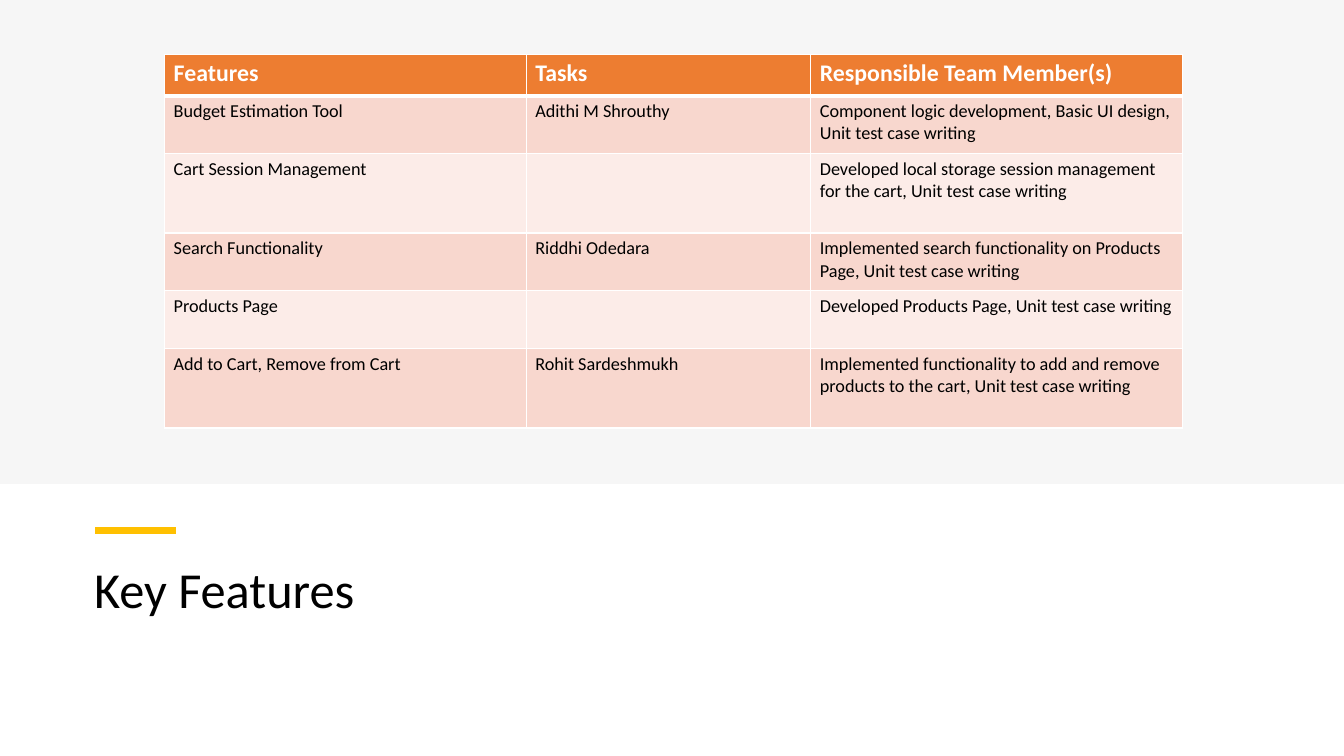
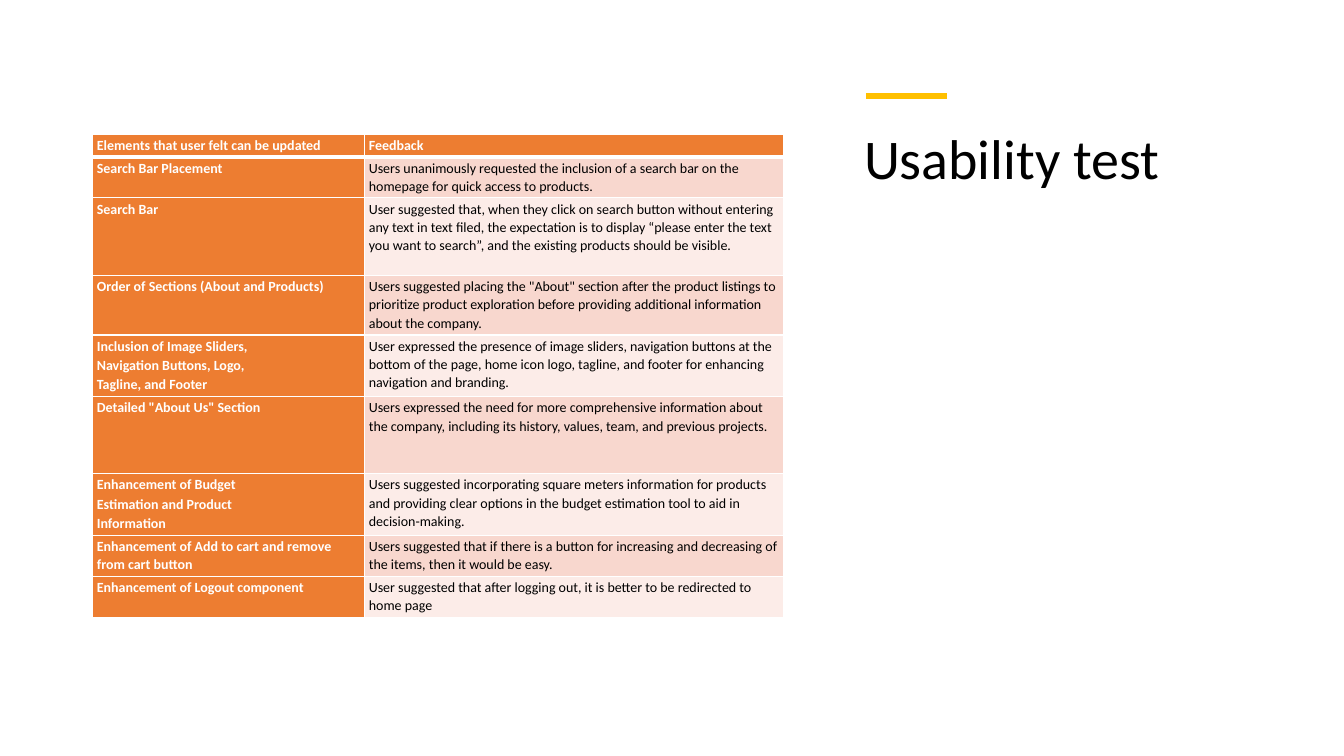
from lxml.etree import SubElement
from pptx import Presentation
from pptx.dml.color import RGBColor
from pptx.enum.shapes import MSO_CONNECTOR, MSO_SHAPE
from pptx.enum.text import MSO_ANCHOR, MSO_AUTO_SIZE, PP_ALIGN
from pptx.oxml.ns import qn
from pptx.util import Pt

FONT = "Calibri"
COLORS = {
    "text": "000000",
    "white": "FFFFFF",
    "panel": "F2F2F2",
    "accent": "FFC000",
    "header": "ED7D31",
    "band_dark": "F8D7CE",
    "band_light": "FCECE8",
}
ACCENT_LENGTH = 57.6
TITLE_ONLY = 5

FEATURES = [
    ("Features", "Tasks", "Responsible Team Member(s)"),
    ("Budget Estimation Tool", "Adithi M Shrouthy",
     "Component logic development, Basic UI design, Unit test case writing"),
    ("Cart Session Management", "",
     "Developed local storage session management for the cart, Unit test case writing"),
    ("Search Functionality", "Riddhi Odedara",
     "Implemented search functionality on Products Page, Unit test case writing"),
    ("Products Page", "", "Developed Products Page, Unit test case writing"),
    ("Add to Cart, Remove from Cart", "Rohit Sardeshmukh",
     "Implemented functionality to add and remove products to the cart, "
     "Unit test case writing"),
]

FEEDBACK = [
    ("Elements that user felt can be updated", "Feedback"),
    ("Search Bar Placement",
     "Users unanimously requested the inclusion of a search bar on the homepage "
     "for quick access to products."),
    ("Search Bar",
     "User suggested that, when they click on search button without entering any text "
     "in text filed, the expectation is to display “please enter the text you want to "
     "search”, and the existing products should be visible."),
    ("Order of Sections (About and Products)",
     'Users suggested placing the "About" section after the product listings to '
     "prioritize product exploration before providing additional information about "
     "the company."),
    ("Inclusion of Image Sliders,\nNavigation Buttons, Logo,\nTagline, and Footer",
     "User expressed the presence of image sliders, navigation buttons at the bottom of "
     "the page, home icon logo, tagline, and footer for enhancing navigation and branding."),
    ('Detailed "About Us" Section',
     "Users expressed the need for more comprehensive information about the company, "
     "including its history, values, team, and previous projects."),
    ("Enhancement of Budget\nEstimation and Product\nInformation",
     "Users suggested incorporating square meters information for products and providing "
     "clear options in the budget estimation tool to aid in decision-making."),
    ("Enhancement of Add to cart and remove from cart button",
     "Users suggested that if there is a button for increasing and decreasing of the "
     "items, then it would be easy."),
    ("Enhancement of Logout component",
     "User suggested that after logging out, it is better to be redirected to home page"),
]


def rgb(name):
    return RGBColor.from_string(COLORS[name])


def style_paragraph(paragraph, size, color, bold=False, spacing=1.0, after=0):
    paragraph.alignment = PP_ALIGN.LEFT
    paragraph.line_spacing = spacing
    paragraph.space_after = Pt(after)
    for run in paragraph.runs:
        run.font.name = FONT
        run.font.size = Pt(size)
        run.font.bold = bold
        run.font.color.rgb = rgb(color)


def set_title(slide, text, box, size, anchor):
    title = slide.shapes.title
    title.left, title.top, title.width, title.height = map(Pt, box)
    frame = title.text_frame
    frame.text = text
    frame.word_wrap = True
    frame.auto_size = MSO_AUTO_SIZE.NONE
    frame.vertical_anchor = anchor
    style_paragraph(frame.paragraphs[0], size, "text", spacing=0.9, after=6)


def add_accent(slide, left, top):
    accent = slide.shapes.add_connector(
        MSO_CONNECTOR.STRAIGHT, Pt(left), Pt(top), Pt(left + ACCENT_LENGTH), Pt(top))
    accent.line.color.rgb = rgb("accent")
    accent.line.width = Pt(4.5)
    SubElement(accent._element.spPr, qn("a:effectLst"))


def add_panel(slide, width, height):
    panel = slide.shapes.add_shape(MSO_SHAPE.RECTANGLE, 0, 0, width, height)
    panel.shadow.inherit = False
    panel.line.fill.background()
    panel.fill.solid()
    panel.fill.fore_color.rgb = rgb("panel")
    color = panel._element.spPr.find(qn("a:solidFill"))[0]
    SubElement(color, qn("a:alpha"), val="65000")


def set_borders(cell, top=1, bottom=1):
    properties = cell._tc.get_or_add_tcPr()
    for side, width in (("L", 1), ("R", 1), ("T", top), ("B", bottom)):
        line = SubElement(properties, qn(f"a:ln{side}"), w=str(Pt(width)))
        fill = SubElement(line, qn("a:solidFill"))
        SubElement(fill, qn("a:srgbClr"), val=COLORS["white"])


def add_table(slide, rows, origin, widths, heights, insets, sizes,
              header_column=False, spacing=1.0, after=0):
    """Sizes are those of the header row and of the body."""
    left, top = origin
    table = slide.shapes.add_table(
        len(rows), len(widths), Pt(left), Pt(top),
        Pt(sum(widths)), Pt(sum(heights))).table
    table.horz_banding = False
    table.first_col = header_column
    for column, width in zip(table.columns, widths):
        column.width = Pt(width)
    for row, height in zip(table.rows, heights):
        row.height = Pt(height)

    for r, texts in enumerate(rows):
        for c, text in enumerate(texts):
            cell = table.cell(r, c)
            heading = r == 0 or (header_column and c == 0)
            band = "band_dark" if r % 2 else "band_light"
            # Thick rule under the header row
            set_borders(cell, top=3 if r == 1 else 1, bottom=3 if r == 0 else 1)
            cell.fill.solid()
            cell.fill.fore_color.rgb = rgb("header" if heading else band)
            (cell.margin_left, cell.margin_top,
             cell.margin_right, cell.margin_bottom) = map(Pt, insets)
            cell.text = text
            for paragraph in cell.text_frame.paragraphs:
                style_paragraph(paragraph, sizes[0 if r == 0 else 1],
                                "white" if heading else "text", heading, spacing, after)


def add_slide(prs):
    return prs.slides.add_slide(prs.slide_layouts[TITLE_ONLY])


def build_features(prs):
    slide = add_slide(prs)
    set_title(slide, "Key Features", (60, 399.6, 796, 46.8), 36, MSO_ANCHOR.MIDDLE)
    add_panel(slide, prs.slide_width, Pt(345.6))
    add_accent(slide, 68, 379)
    add_table(slide, FEATURES, (117.5, 39), (258.3, 203.3, 265.7),
              (29.5, 41.3, 56.7, 41.3, 41.3, 56.7),
              insets=(6.6, 3.3, 6.6, 3.3), sizes=(17, 13))


def build_usability(prs):
    slide = add_slide(prs)
    set_title(slide, "Usability test", (610, 90, 301.7, 273.6), 40, MSO_ANCHOR.TOP)
    add_accent(slide, 618.5, 68.5)
    add_table(slide, FEEDBACK, (66.3, 96), (194.3, 299.5),
              (16, 29.3, 55.5, 42.5, 44, 55, 44, 29.3, 29.3),
              insets=(2.9, 1.4, 2.2, 0), sizes=(10, 10),
              header_column=True, spacing=1.07, after=0.7)


def main():
    prs = Presentation()
    prs.slide_width, prs.slide_height = Pt(960), Pt(540)
    build_features(prs)
    build_usability(prs)
    prs.save("out.pptx")


if __name__ == "__main__":
    main()
